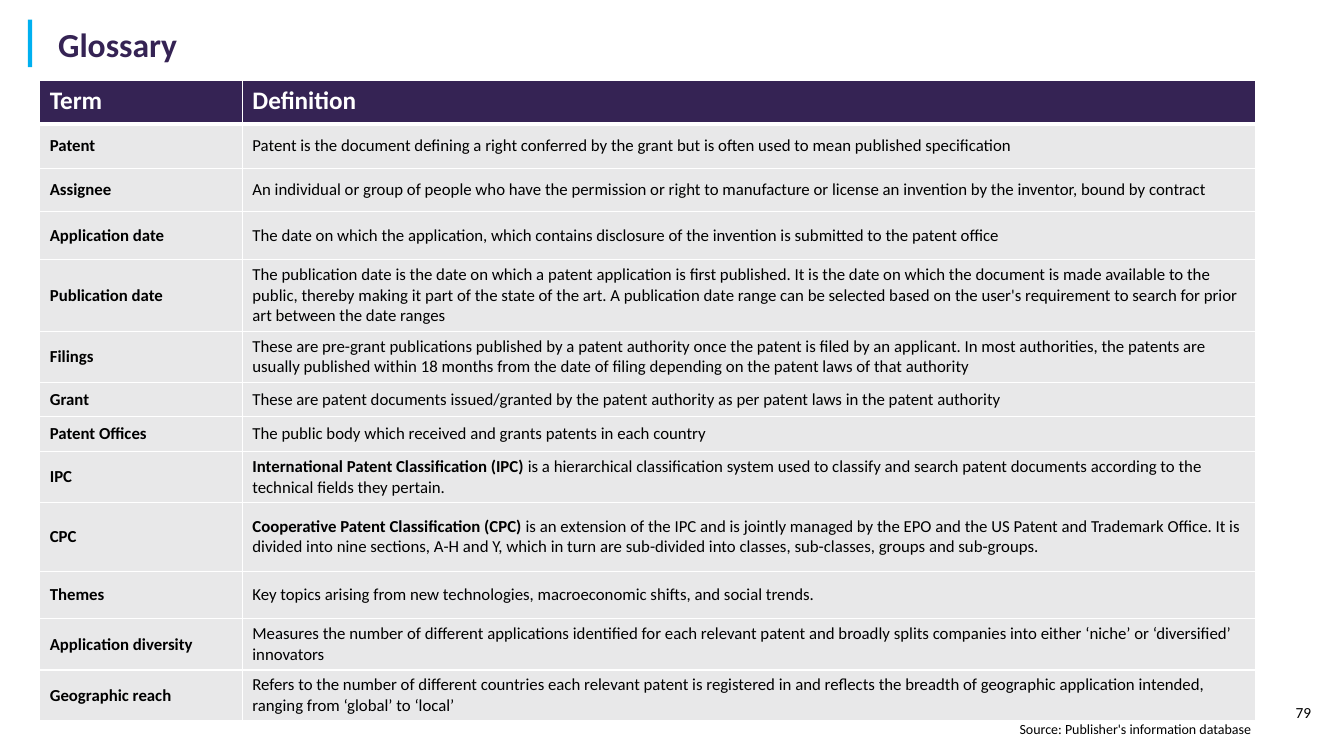
import pptx
import pptx.dml.color
import pptx.enum.shapes
import pptx.enum.text
import pptx.oxml
import pptx.oxml.ns
import pptx.util

Pt = pptx.util.Pt
ALIGN = pptx.enum.text.PP_ALIGN
ANCHOR = pptx.enum.text.MSO_ANCHOR

COLORS = {
    "purple": "352354",
    "cyan": "00B0F0",
    "grey": "E8E8E9",
    "white": "FFFFFF",
    "black": "000000",
}

# Row height, term, bold lead of the definition, definition
GLOSSARY = [
    (31.5, "Patent", "", "Patent is the document defining a right conferred by the grant but is "
     "often used to mean published specification"),
    (31, "Assignee", "", "An individual or group of people who have the permission or right to "
     "manufacture or license an invention by the inventor, bound by contract"),
    (34.5, "Application date", "", "The date on which the application, which contains disclosure "
     "of the invention is submitted to the patent office"),
    (49, "Publication date", "", "The publication date is the date on which a patent application "
     "is first published. It is the date on which the document is made available to the public, "
     "thereby making it part of the state of the art. A publication date range can be selected "
     "based on the user's requirement to search for prior art between the date ranges"),
    (34.5, "Filings", "", "These are pre-grant publications published by a patent authority once "
     "the patent is filed by an applicant. In most authorities, the patents are usually published "
     "within 18 months from the date of filing depending on the patent laws of that authority"),
    (24.5, "Grant", "", "These are patent documents issued/granted by the patent authority as per "
     "patent laws in the patent authority"),
    (25, "Patent Offices", "", "The public body which received and grants patents in each country"),
    (34.5, "IPC", "International Patent Classification (IPC)", " is a hierarchical classification "
     "system used to classify and search patent documents according to the technical fields they "
     "pertain."),
    (49, "CPC", "Cooperative Patent Classification (CPC)", " is an extension of the IPC and is "
     "jointly managed by the EPO and the US Patent and Trademark Office. It is divided into nine "
     "sections, A-H and Y, which in turn are sub-divided into classes, sub-classes, groups and "
     "sub-groups."),
    (34, "Themes", "", "Key topics arising from new technologies, macroeconomic shifts, and "
     "social trends."),
    (34.5, "Application diversity", "", "Measures the number of different applications identified "
     "for each relevant patent and broadly splits companies into either ‘niche’ or ‘diversified’ "
     "innovators"),
    (34.5, "Geographic reach", "", "Refers to the number of different countries each relevant "
     "patent is registered in and reflects the breadth of geographic application intended, "
     "ranging from ‘global’ to ‘local’"),
]


def rgb(name):
    return pptx.dml.color.RGBColor.from_string(COLORS[name])


class SlideBuilder:
    font = "Calibri"

    def __init__(self, prs):
        self.s = prs.slides.add_slide(prs.slide_layouts[5])

    def style(self, r, size, color="black", bold=False):
        r.font.name = self.font
        r.font.size = Pt(size)
        r.font.bold = bold
        r.font.color.rgb = rgb(color)

    def title(self, text, x, y, w, h):
        sp = self.s.shapes.title
        sp.left, sp.top, sp.width, sp.height = Pt(x), Pt(y), Pt(w), Pt(h)
        tf = sp.text_frame
        tf.text = text
        tf.auto_size = pptx.enum.text.MSO_AUTO_SIZE.NONE
        tf.vertical_anchor = ANCHOR.MIDDLE
        tf.margin_left = Pt(22)
        p = tf.paragraphs[0]
        p.alignment = ALIGN.LEFT
        self.style(p.runs[0], 24, "purple", True)

    def bar(self, x, y, w, h, color):
        sp = self.s.shapes.add_shape(
            pptx.enum.shapes.MSO_SHAPE.RECTANGLE, Pt(x), Pt(y), Pt(w), Pt(h))
        sp.shadow.inherit = False
        sp.fill.solid()
        sp.fill.fore_color.rgb = rgb(color)
        sp.line.fill.background()

    def text(self, text, x, y, w, h, size, align, margin_right=7.2):
        tf = self.s.shapes.add_textbox(Pt(x), Pt(y), Pt(w), Pt(h)).text_frame
        tf.word_wrap = True
        tf.margin_right = Pt(margin_right)
        tf.text = text
        p = tf.paragraphs[0]
        p.alignment = align
        self.style(p.runs[0], size)

    def borders(self, cell, **widths):
        tcPr = cell._tc.get_or_add_tcPr()
        for side in "LRTB":
            width = Pt(widths.get(side, 1))
            tcPr.append(pptx.oxml.parse_xml(
                f'<a:ln{side} {pptx.oxml.ns.nsdecls("a")} w="{width}"><a:solidFill>'
                f'<a:srgbClr val="{COLORS["white"]}"/></a:solidFill></a:ln{side}>'))

    def cell(self, cell, parts, size, color, fill, anchor, **widths):
        self.borders(cell, **widths)
        cell.fill.solid()
        cell.fill.fore_color.rgb = rgb(fill)
        cell.vertical_anchor = anchor
        p = cell.text_frame.paragraphs[0]
        for text, bold in parts:
            if text:
                r = p.add_run()
                r.text = text
                self.style(r, size, color, bold)

    def table(self, header, rows, x, y, col_widths, header_height):
        heights = [header_height] + [row[0] for row in rows]
        tbl = self.s.shapes.add_table(
            len(heights), len(col_widths), Pt(x), Pt(y),
            Pt(sum(col_widths)), Pt(sum(heights))).table
        tbl.horz_banding = False
        for col, width in zip(tbl.columns, col_widths):
            col.width = Pt(width)
        for row, height in zip(tbl.rows, heights):
            row.height = Pt(height)
        for j, text in enumerate(header):
            self.cell(tbl.cell(0, j), [(text, True)], 18, "white", "purple", ANCHOR.TOP, B=3)
        for i, (_, term, lead, definition) in enumerate(rows, 1):
            top = 3 if i == 1 else 1
            for j, parts in enumerate(([(term, True)], [(lead, True), (definition, False)])):
                self.cell(tbl.cell(i, j), parts, 12, "black", "grey", ANCHOR.MIDDLE, T=top)


def main():
    prs = pptx.Presentation()
    prs.slide_width, prs.slide_height = Pt(960), Pt(540)
    b = SlideBuilder(prs)

    # Heading with accent bar
    b.bar(20, 14, 3, 34, "cyan")
    b.title("Glossary", 19.5, 17.5, 884, 28)

    # Glossary table
    b.table(("Term", "Definition"), GLOSSARY, 28.4, 57.6, (144.7, 723.6), 31)

    # Footer
    b.text("Source: Publisher's information database", 23, 511, 884, 19.5, 10, ALIGN.RIGHT, 13.5)
    b.text("79", 902, 499, 58, 21, 11, ALIGN.CENTER)

    prs.save("out.pptx")


if __name__ == "__main__":
    main()
